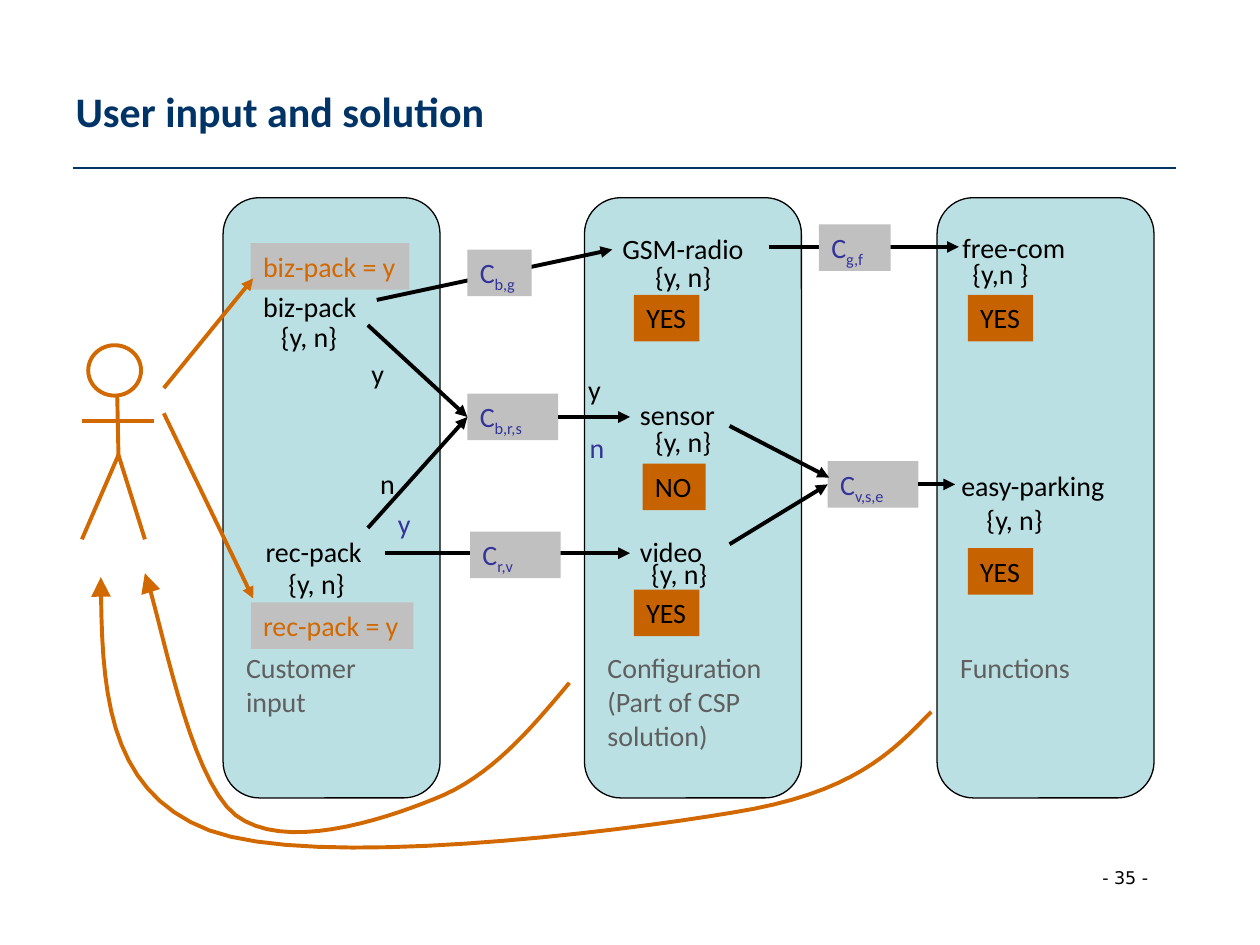
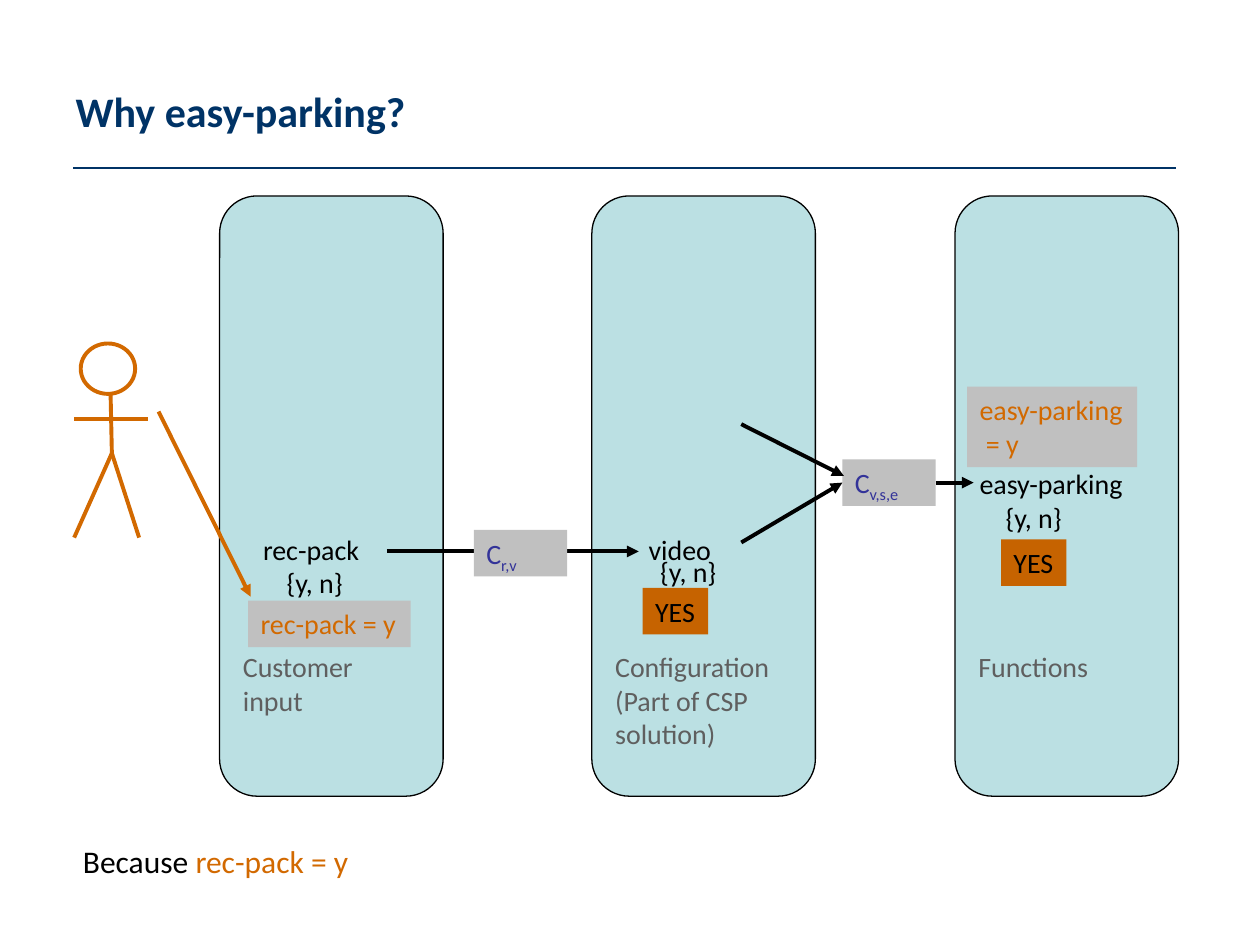
from lxml.etree import SubElement
from pptx import Presentation
from pptx.dml.color import RGBColor
from pptx.enum.shapes import MSO_CONNECTOR, MSO_SHAPE
from pptx.enum.text import MSO_ANCHOR, PP_ALIGN
from pptx.oxml.ns import qn
from pptx.util import Pt

BLACK, NAVY, INDIGO, ORANGE = "000000", "003366", "333399", "D26900"
TEAL, GREY, RUST, DARK_GREY = "BBE0E3", "C0C0C0", "C66300", "5F5F5F"
LABEL_HEIGHT = 26.6
LEFT, RIGHT = 1, 3

# Columns: left edge and caption
COLUMN_TOP, COLUMN_WIDTH, COLUMN_HEIGHT = 113, 124, 343
COLUMNS = [
    (127.5, ["Customer", "input"]),
    (334, ["Configuration", "(Part of CSP", "solution)"]),
    (535.5, ["Functions"]),
]

# The user: head box, then body, legs and arms
HEAD = (50.4, 197.3, 30.2, 28.8)
LIMBS = [
    ((67, 226), (67.7, 260)),
    ((67.7, 260), (46.8, 308.2)),
    ((67.7, 260), (82.8, 308.2)),
    ((46.8, 240.5), (87.8, 240.5)),
]

# Parts on both slides; labels are (text, left, top, width)
SHARED = {
    "variables": [
        ("rec-pack", 144.7, 301.7, 69.8),
        ("video", 358.6, 301.7, 50.4),
        ("easy-parking", 542.2, 264.2, 97.2),
        ("{y, n}", 157.7, 320.4, 46.8),
        ("{y, n}", 365, 314.6, 46.8),
        ("{y, n}", 556.6, 283.7, 46.8),
    ],
    "through_arrows": [((220.3, 316.1), (360, 316.1))],
    "constraints": [("v,s,e", 473, 263.5, 51.8), ("r,v", 268.6, 303.8, 51.8)],
    "arrows": [
        ((416.9, 243.4), (473.8, 272.9)),
        ((416.9, 311), "v,s,e"),
        ("v,s,e", (545.8, 276.8)),
    ],
    "input_arrows": [((93.6, 236.2), (144.7, 342))],
    "inputs": [("rec-pack = y", 143.3, 344.2, 92.9)],
    "results": [("YES", 362.2, 337, 37.4)],
}

SOLUTION = {
    "variables": [
        ("biz-pack", 143.3, 162, 68.4),
        ("sensor", 358.6, 223.9, 58.3),
        ("free-com", 542.9, 128.2, 74.2),
        ("GSM-radio", 348.5, 128.9, 85),
        ("{y, n}", 153.4, 179.3, 46.8),
        ("{y, n}", 367.2, 144.7, 46.8),
        ("{y, n}", 367.2, 239, 46.8),
        ("{y,n }", 548.6, 143.3, 46.8),
        ("y", 205.2, 200.2, 22),
        ("n", 210.2, 262.8, 23),
        ("y", 329, 209.5, 22),
    ],
    "solved_values": [("y", 220.3, 285.8, 22), ("n", 329.8, 242.6, 23)],
    "through_arrows": [
        ((215.3, 171.4), (349.9, 142.6)),
        ((439.2, 141.1), (547.9, 141.1)),
    ],
    "constraints": [
        ("b,g", 267.1, 142.6, 36.7),
        ("g,f", 468, 128.2, 41),
        ("b,r,s", 267.1, 225, 51.8),
    ],
    "arrows": [
        ((210.2, 185.8), "b,r,s"),
        ((210.2, 301.7), "b,r,s"),
        ("b,r,s", (360, 238.3)),
    ],
    "input_arrows": [((93.6, 221.8), (144.7, 159.1))],
    "inputs": [("biz-pack = y", 143.3, 139, 90.7)],
    "results": [
        ("YES", 362.2, 168.5, 37.4),
        ("NO", 367.2, 265, 36),
        ("YES", 553, 168.5, 37.4),
        ("YES", 553, 313.2, 37.4),
    ],
}

EXPLANATION = {
    "inputs": [("easy-parking\v = y", 542.2, 222, 97.2)],
    "results": [("YES", 561, 309.2, 37.4)],
}

# Feedback curves: start, then cubic segments of three points
FEEDBACK = [
    ((325.4, 390.2), [
        ((303.1, 416.9), (280.1, 444.2), (248.4, 456.5)),
        ((216.7, 469.4), (162, 486.7), (134.6, 465.8)),
        ((107.3, 444.2), (91.4, 349.9), (82.8, 327.6)),
    ]),
    ((532.1, 406.8), [
        ((509.8, 429.8), (487.4, 453.6), (418.3, 464.4)),
        ((349.9, 475.9), (179.3, 496.8), (119.5, 474.5)),
        ((59, 451.4), (58.3, 390.2), (57.6, 329.8)),
    ]),
]


def rgb(color):
    return RGBColor.from_string(color)


def write(frame, lines, size=16, color=BLACK, font="Calibri", bold=False,
          anchor=MSO_ANCHOR.TOP, wrap=False):
    """Each line is a string or a list of (text, color, baseline) spans."""
    frame.word_wrap = wrap
    frame.vertical_anchor = anchor
    for index, line in enumerate(lines):
        para = frame.add_paragraph() if index else frame.paragraphs[0]
        para.alignment = PP_ALIGN.LEFT
        spans = [(line, color, 0)] if isinstance(line, str) else line
        for text, span_color, baseline in spans:
            for number, piece in enumerate(text.split("\v")):
                if number:
                    para.add_line_break()
                span = para.add_run()
                span.text = piece
                span.font.size, span.font.name = Pt(size), font
                span.font.bold = bold
                span.font.color.rgb = rgb(span_color)
                if baseline:
                    span._r.get_or_add_rPr().set("baseline", str(baseline))


def set_line(shape, color, width, head=None):
    shape.line.color.rgb = rgb(color)
    shape.line.width = Pt(width)
    if head:
        SubElement(shape.line._get_or_add_ln(), qn("a:tailEnd"),
                   type="triangle", w=head, len=head)


def add_text(page, lines, left, top, width, height=LABEL_HEIGHT, **style):
    box = page.shapes.add_textbox(Pt(left), Pt(top), Pt(width), Pt(height))
    write(box.text_frame, lines, **style)


def add_box(page, kind, left, top, width, height, fill=None):
    box = page.shapes.add_shape(kind, Pt(left), Pt(top), Pt(width), Pt(height))
    box.shadow.inherit = False
    if fill:
        box.fill.solid()
        box.fill.fore_color.rgb = rgb(fill)
    else:
        box.fill.background()
    box.line.fill.background()
    return box


def add_line(page, start, end, color=BLACK, width=2.25, head=None):
    line = page.shapes.add_connector(
        MSO_CONNECTOR.STRAIGHT, *(Pt(value) for value in (*start, *end)))
    set_line(line, color, width, head)
    SubElement(line._element.spPr, qn("a:effectLst"))
    return line


def add_curve(page, start, segments, steps=16):
    points, origin = [], start
    for first, second, end in segments:
        for step in range(1, steps + 1):
            t = step / steps
            weights = ((1 - t) ** 3, 3 * t * (1 - t) ** 2, 3 * t * t * (1 - t), t ** 3)
            anchors = (origin, first, second, end)
            points.append(tuple(
                Pt(sum(w * point[axis] for w, point in zip(weights, anchors)))
                for axis in (0, 1)))
        origin = end
    builder = page.shapes.build_freeform(Pt(start[0]), Pt(start[1]))
    builder.add_line_segments(points, close=False)
    curve = builder.convert_to_shape()
    curve.shadow.inherit = False
    curve.fill.background()
    set_line(curve, ORANGE, 2.25, "lg")


def add_page(deck, title):
    page = deck.slides.add_slide(deck.slide_layouts[5])
    heading = page.shapes.title
    heading.left, heading.top, heading.width, heading.height = Pt(36), Pt(18), Pt(648), Pt(90)
    write(heading.text_frame, [title], size=24, color=NAVY, bold=True,
          anchor=MSO_ANCHOR.MIDDLE, wrap=True)
    add_line(page, (42, 96), (672, 96), NAVY, 0.75)
    return page


def draw_diagram(page, extra, stretch=1, shift=(0, 0)):
    """Draw shared and extra parts, stretched sideways and shifted."""
    def place(x, y):
        return x * stretch + shift[0], y + shift[1]

    def parts(kind):
        return SHARED.get(kind, []) + extra.get(kind, [])

    # Columns with captions
    for left, caption in COLUMNS:
        column = add_box(page, MSO_SHAPE.ROUNDED_RECTANGLE, *place(left, COLUMN_TOP),
                         COLUMN_WIDTH * stretch, COLUMN_HEIGHT, TEAL)
        column.adjustments[0] = 0.167
        set_line(column, BLACK, 0.75)
        column.text_frame.margin_top = Pt(253)
        write(column.text_frame, caption, color=DARK_GREY, wrap=True)

    # Variables, domains and values
    for kind, color in (("variables", BLACK), ("solved_values", INDIGO)):
        for text, left, top, width in parts(kind):
            add_text(page, [text], *place(left, top), width, color=color)

    # Arrows that run behind a constraint
    for start, end in parts("through_arrows"):
        add_line(page, place(*start), place(*end), head="med")

    # Constraints and the arrows joined to them
    boxes = {}
    for variables, left, top, width in parts("constraints"):
        box = add_box(page, MSO_SHAPE.RECTANGLE, *place(left, top),
                      width * stretch, LABEL_HEIGHT, GREY)
        write(box.text_frame, [[("C", INDIGO, 0), (variables, INDIGO, -25000)]])
        boxes[variables] = box
    for start, end in parts("arrows"):
        ends = [place(0, 0) if point in boxes else place(*point) for point in (start, end)]
        arrow = add_line(page, *ends, head="med")
        if start in boxes:
            arrow.begin_connect(boxes[start], RIGHT)
        if end in boxes:
            arrow.end_connect(boxes[end], LEFT)

    # User inputs and results
    for kind, fill, color in (("inputs", GREY, ORANGE), ("results", RUST, BLACK)):
        for text, left, top, width in parts(kind):
            height = LABEL_HEIGHT + 19.4 * text.count("\v")
            box = add_box(page, MSO_SHAPE.RECTANGLE, *place(left, top), width, height, fill)
            write(box.text_frame, [text], color=color)

    # The user
    left, top, width, height = HEAD
    head = add_box(page, MSO_SHAPE.OVAL, *place(left, top), width * stretch, height)
    set_line(head, ORANGE, 2.25)
    for start, end in LIMBS:
        add_line(page, place(*start), place(*end), ORANGE)
    for start, end in parts("input_arrows"):
        add_line(page, place(*start), place(*end), ORANGE, head="med")


def main():
    deck = Presentation()
    deck.slide_width, deck.slide_height = Pt(720), Pt(540)

    # User input and solution
    page = add_page(deck, "User input and solution")
    draw_diagram(page, SOLUTION)
    for start, segments in FEEDBACK:
        add_curve(page, start, segments)
    add_text(page, ["- 35 -"], 622.8, 491.8, 54.7, 19.4, size=10, font="DejaVu Sans")

    # Explanation
    page = add_page(deck, "Why easy-parking?")
    draw_diagram(page, EXPLANATION, stretch=1.03, shift=(-5.8, -1))
    add_text(page, [[("Because ", BLACK, 0), ("rec-pack = y", ORANGE, 0)]],
             40.3, 477.4, 663, 28.8, size=18, wrap=True)

    deck.save("out.pptx")


if __name__ == "__main__":
    main()
